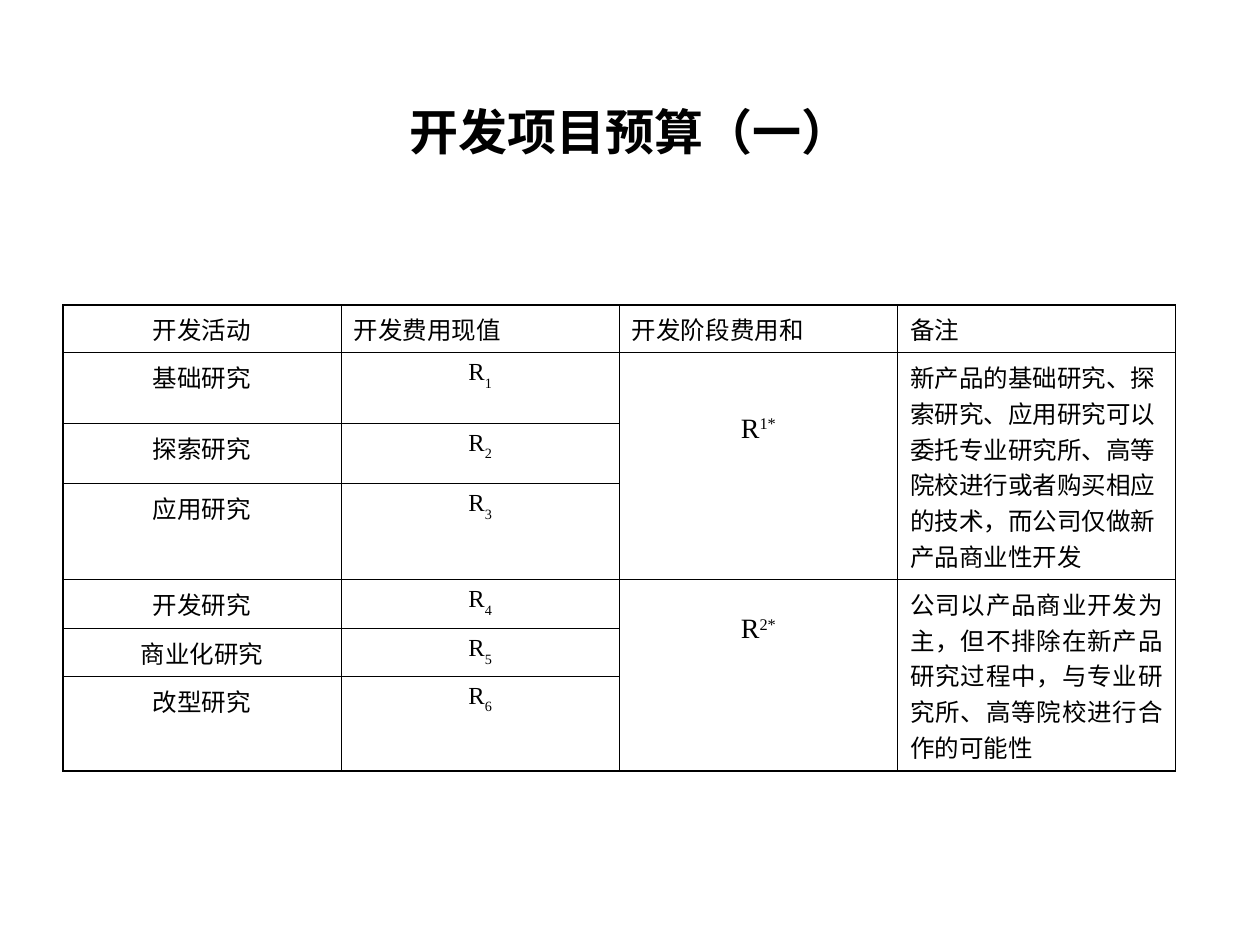
from lxml.etree import SubElement
from pptx import Presentation
from pptx.dml.color import RGBColor
from pptx.enum.text import MSO_ANCHOR, PP_ALIGN
from pptx.oxml.ns import qn
from pptx.util import Inches, Pt


def color(value):
    return RGBColor.from_string(value)


def write(frame, runs, size, align, bold=False):
    paragraph = frame.paragraphs[0]
    paragraph.alignment = align
    for text, baseline in runs:
        run = paragraph.add_run()
        run.text = text
        font_format = {"name": "Times New Roman", "size": Pt(size), "bold": bold}
        for attribute, value in font_format.items():
            setattr(run.font, attribute, value)
        run.font.color.rgb = color("000000")
        if baseline:
            run._r.get_or_add_rPr().set("baseline", str(baseline * 1000))


presentation = Presentation()
presentation.slide_width = Inches(10)
presentation.slide_height = Inches(7.5)
slide = presentation.slides.add_slide(presentation.slide_layouts[6])

title = slide.shapes.add_textbox(Inches(0.75), Inches(0.66), Inches(8.5), Inches(0.75)).text_frame
title_format = {"word_wrap": True, "vertical_anchor": MSO_ANCHOR.MIDDLE}
for attribute, value in title_format.items():
    setattr(title, attribute, value)
write(title, [("开发项目预算（一）", 0)], 28, PP_ALIGN.CENTER, True)

table_width = 8.83
row_heights = [0.38, 0.56, 0.48, 0.76, 0.39, 0.38, 0.75]
budget = slide.shapes.add_table(
    len(row_heights), 4, Inches(0.5), Inches(2.42), Inches(table_width), Inches(sum(row_heights))
).table
budget_format = {"first_row": False, "horz_banding": False}
for attribute, value in budget_format.items():
    setattr(budget, attribute, value)
for row, height in zip(budget.rows, row_heights):
    row.height = Inches(height)
for column in budget.columns:
    column.width = Inches(table_width / 4)

headings = [
    ("开发活动", PP_ALIGN.CENTER),
    ("开发费用现值", PP_ALIGN.JUSTIFY),
    ("开发阶段费用和", PP_ALIGN.JUSTIFY),
    ("备注", PP_ALIGN.LEFT),
]
for column, (heading, align) in enumerate(headings):
    write(budget.cell(0, column).text_frame, [(heading, 0)], 14, align)

activities = ["基础研究", "探索研究", "应用研究", "开发研究", "商业化研究", "改型研究"]
for number, activity in enumerate(activities, 1):
    write(budget.cell(number, 0).text_frame, [(activity, 0)], 14, PP_ALIGN.CENTER)
    write(budget.cell(number, 1).text_frame, [("R", 0), (str(number), -30)], 14, PP_ALIGN.CENTER)

stages = [
    (1, "1*", 0.48, PP_ALIGN.LEFT,
     "新产品的基础研究、探索研究、应用研究可以委托专业研究所、高等院校进行或者购买相应的技术，而公司仅做新产品商业性开发"),
    (4, "2*", 0.27, PP_ALIGN.JUSTIFY,
     "公司以产品商业开发为主，但不排除在新产品研究过程中，与专业研究所、高等院校进行合作的可能性"),
]
for first, stage, top_margin, align, remark in stages:
    for column in (2, 3):
        budget.cell(first, column).merge(budget.cell(first + 2, column))
    stage_sum = budget.cell(first, 2)
    stage_sum.margin_top = Inches(top_margin)
    write(stage_sum.text_frame, [("R", 0), (stage, 30)], 16, PP_ALIGN.CENTER)
    write(budget.cell(first, 3).text_frame, [(remark, 0)], 14, align)

last_row, last_column = len(row_heights) - 1, 3
for row in range(last_row + 1):
    for column in range(last_column + 1):
        cell = budget.cell(row, column)
        cell.fill.background()
        if cell.is_spanned:
            continue
        outer_edges = {
            "a:lnL": column == 0,
            "a:lnR": column == last_column,
            "a:lnT": row == 0,
            "a:lnB": row + cell.span_height - 1 == last_row,
        }
        properties = cell._tc.get_or_add_tcPr()
        for position, (edge, outer) in enumerate(outer_edges.items()):
            line = SubElement(properties, qn(edge), w=str(Pt(1.08 if outer else 0.45)))
            properties.insert(position, line)
            SubElement(SubElement(line, qn("a:solidFill")), qn("a:srgbClr"), val="000000")

presentation.save("out.pptx")
